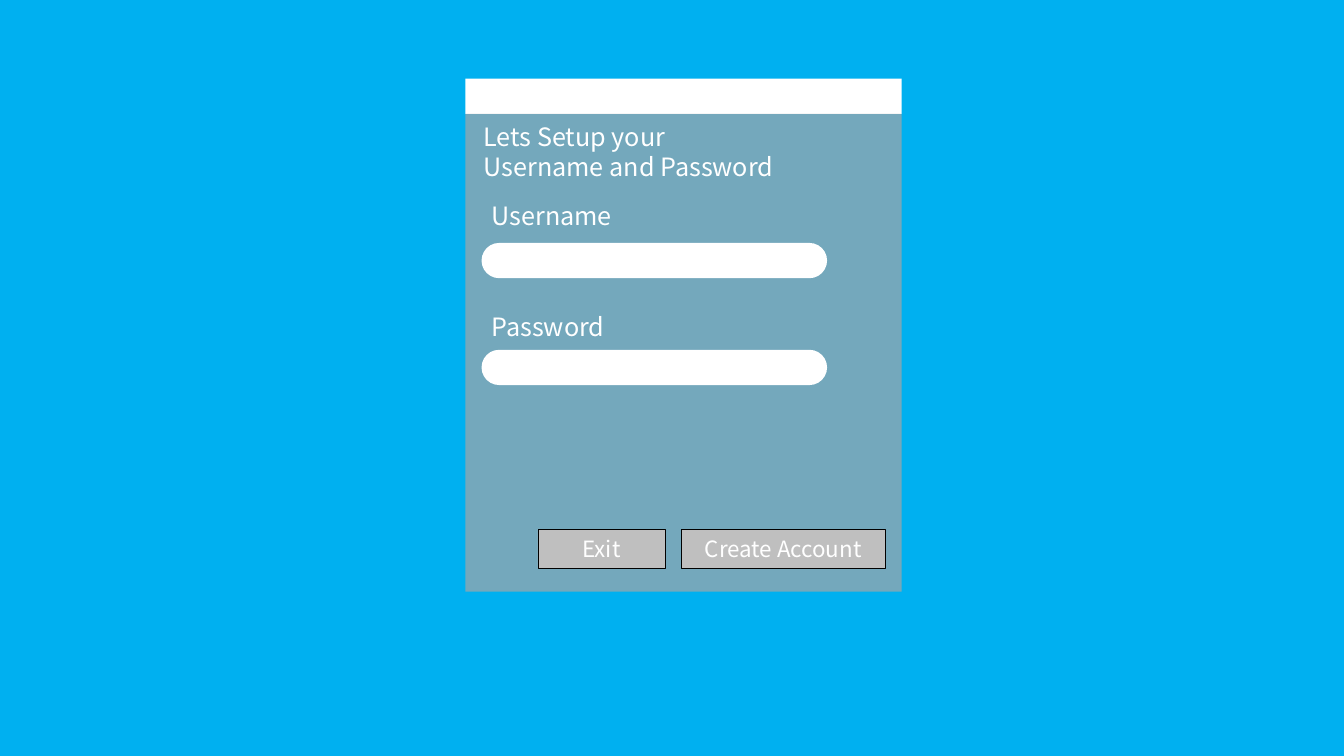
from lxml.etree import SubElement
from pptx import Presentation
from pptx.dml.color import RGBColor
from pptx.enum.shapes import MSO_SHAPE as Kind
from pptx.enum.text import MSO_ANCHOR as Anchor, MSO_AUTO_SIZE as Fit, PP_ALIGN as Align
from pptx.oxml.ns import qn
from pptx.util import Inches, Pt

TITLE = ["Lets Setup your", "Username and Password"]
FIELDS = [("Username", 1.94, 2.41), ("Password", 3.04, 3.47)]
BUTTONS = [("Exit", 1.26), ("Create Account", 2.03)]
COLORS = {"sky": "00B0F0", "white": "FFFFFF", "panel": "A6A6A6",
          "button": "BFBFBF", "edge": "000000"}
FONT = "Noto Sans CJK TC"
LEFT, TOP, WIDTH = 4.62, 0.78, 4.33
BAR, BODY = 0.35, 4.74
PAD = 0.16
ROW, TALL = 5.25, 0.39


def tint(name):
    return RGBColor.from_string(COLORS[name])


def write(shape, lines, size=18, align=Align.LEFT, anchor=Anchor.TOP, fit=Fit.NONE):
    frame = shape.text_frame
    frame.text = "\n".join(lines)
    frame.word_wrap = True
    frame.auto_size = fit
    frame.vertical_anchor = anchor
    for para in frame.paragraphs:
        para.alignment = align
        para.font.name = FONT
        para.font.size = Pt(size)
        para.font.color.rgb = tint("white")


def draw(kind, box, fill, edge=None):
    shape = slide.shapes.add_shape(kind, *map(Inches, box))
    shape.shadow.inherit = False
    shape.fill.solid()
    shape.fill.fore_color.rgb = tint(fill)
    if edge:
        shape.line.color.rgb = tint(edge)
        shape.line.width = Pt(0.5)
    else:
        shape.line.fill.background()
    return shape


deck = Presentation()
deck.slide_width, deck.slide_height = Inches(13.34), Inches(7.5)
slide = deck.slides.add_slide(deck.slide_layouts[5])
slide.background.fill.solid()
slide.background.fill.fore_color.rgb = tint("sky")

draw(Kind.RECTANGLE, (LEFT, TOP, WIDTH, BAR), "white")
panel = draw(Kind.RECTANGLE, (LEFT, TOP + BAR, WIDTH, BODY), "panel")
color = panel.fill._xPr.find(".//" + qn("a:srgbClr"))
SubElement(color, qn("a:alpha"), val="70000")

for label, top, entry in FIELDS:
    pill = draw(Kind.ROUNDED_RECTANGLE, (LEFT + PAD, entry, 3.43, BAR), "white")
    pill.adjustments[0] = 0.5
    box = slide.shapes.add_textbox(*map(Inches, (LEFT + PAD, top, 2.91, 0.4)))
    write(box, [label], fit=Fit.SHAPE_TO_FIT_TEXT)

title = slide.shapes.title
title.left, title.top, title.width, title.height = map(Inches, (4.7, 1.15, 3.5, 0.71))
write(title, TITLE, fit=Fit.SHAPE_TO_FIT_TEXT)
slide.shapes._spTree.append(title._element)

right = LEFT + WIDTH - PAD
for name, width in reversed(BUTTONS):
    button = draw(Kind.RECTANGLE, (right - width, ROW, width, TALL), "button", "edge")
    write(button, [name], size=16, align=Align.CENTER, anchor=Anchor.MIDDLE)
    right -= width + PAD

deck.save("out.pptx")
